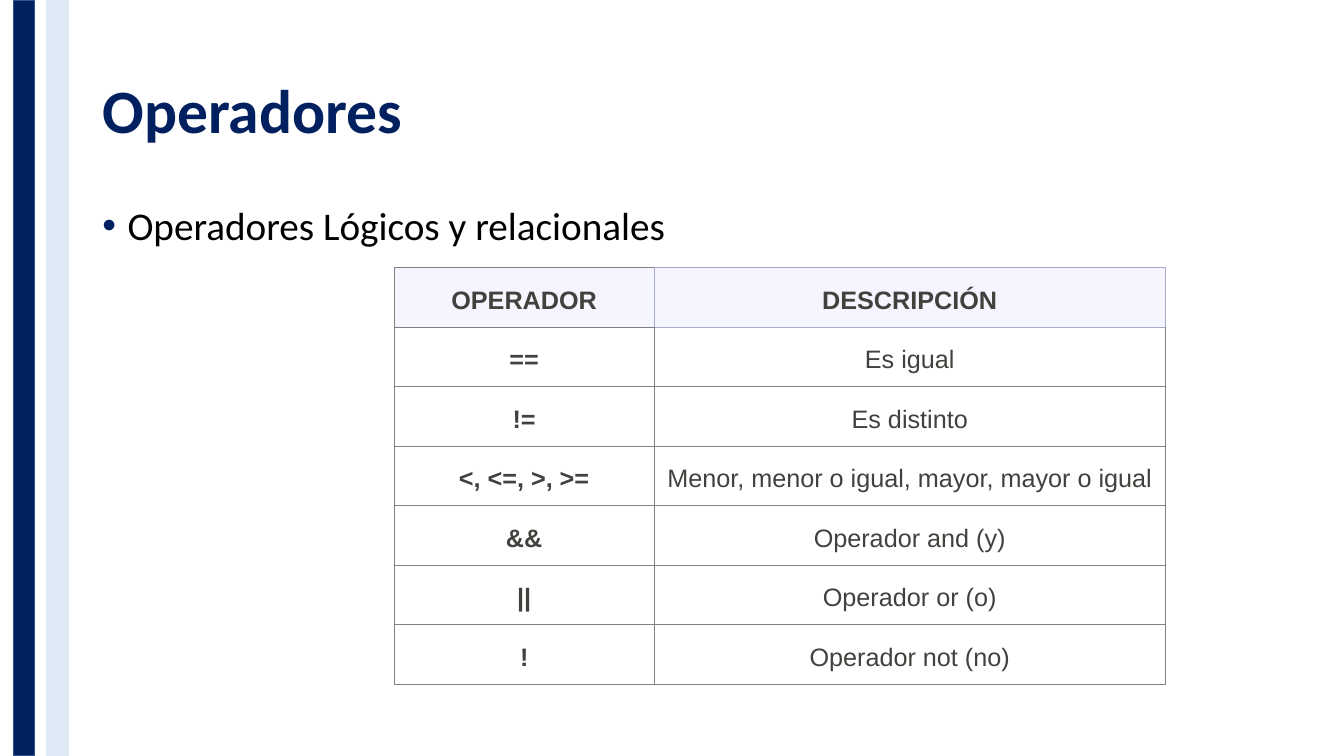
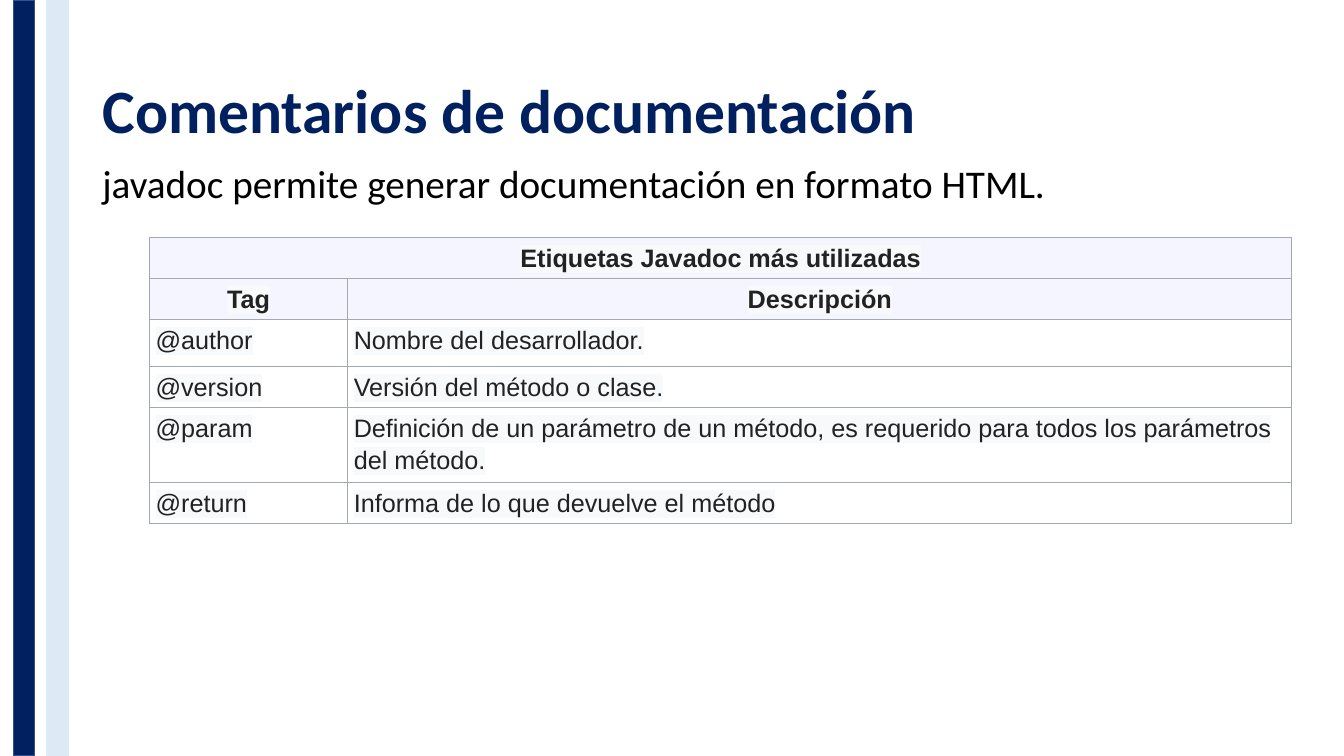
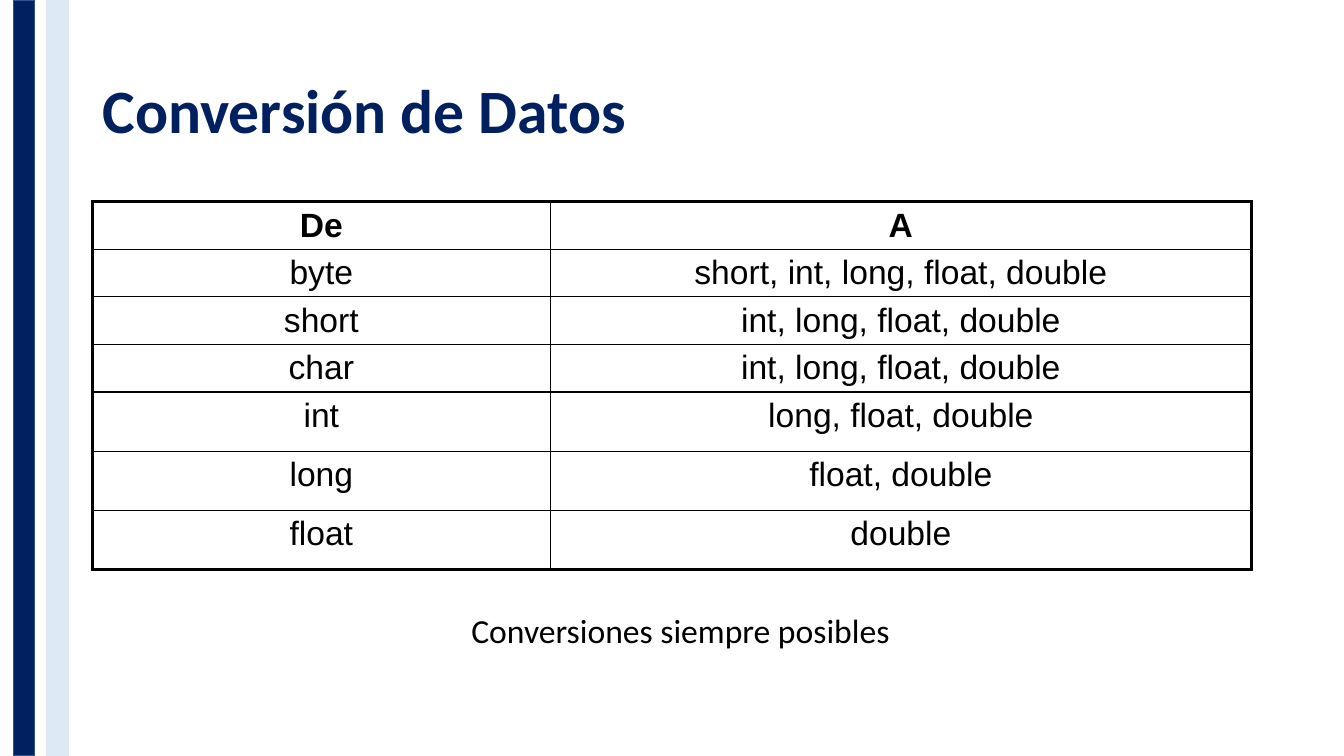
from dataclasses import dataclass

from lxml import etree
from pptx import Presentation
from pptx import util as u
from pptx.dml.color import RGBColor
from pptx.enum import shapes, text
from pptx.oxml import ns


@dataclass(frozen=True)
class Theme:
    navy: str = "002060"
    navy_edge: str = "31538F"
    sky: str = "DDEAF6"
    black: str = "000000"
    white: str = "FFFFFF"
    lavender: str = "F5F5FF"
    lavender_edge: str = "AAAACC"
    olive: str = "41423D"
    grey: str = "808080"
    ink: str = "222222"
    mist: str = "F8F9FA"
    mist_edge: str = "A2A9B1"
    heading: str = "Calibri"
    cells: str = "Arial"
    title_size: int = 44
    body_size: int = 28
    caption_size: int = 24
    small_cell: int = 18
    large_cell: int = 24


@dataclass(frozen=True)
class TableLook:
    size: int
    color: str
    spacing: float
    margins: tuple
    borders: object
    head_fill: str = ""
    cell_fill: str = ""
    highlight: str = ""
    head_rows: int = 1
    bold_first: bool = False
    centred: bool = True


THEME = Theme()
COLUMNS, ROWS = 160, 90
CENTER = text.PP_ALIGN.CENTER
LEFT = text.PP_ALIGN.LEFT


def add_xml(parent, tag, **attributes):
    return etree.SubElement(parent, ns.qn(tag), attributes)


class Deck:
    def __init__(self, theme):
        self.theme = theme
        self.presentation = Presentation()
        self.presentation.slide_width = u.Inches(13.33)
        self.presentation.slide_height = u.Inches(7.5)
        self.slide = None

    def x(self, columns):
        return round(self.presentation.slide_width * columns / COLUMNS)

    def y(self, rows):
        return round(self.presentation.slide_height * rows / ROWS)

    def box(self, left, top, width, height):
        return self.x(left), self.y(top), self.x(width), self.y(height)

    def start(self, title):
        layout = self.presentation.slide_layouts[5]
        self.slide = self.presentation.slides.add_slide(layout)
        self.band(1.6, self.theme.navy, self.theme.navy_edge)
        self.band(5.6, self.theme.sky, self.theme.sky)
        heading = self.slide.shapes.title
        heading.left, heading.top, heading.width, heading.height = self.box(11, 4.8, 138, 17.4)
        frame = heading.text_frame
        frame.auto_size = text.MSO_AUTO_SIZE.NONE
        frame.vertical_anchor = text.MSO_ANCHOR.MIDDLE
        self.add_words(frame, title, self.theme.title_size, self.theme.navy,
                       bold=True, spacing=0.9)

    def band(self, left, fill, edge):
        stripe = self.slide.shapes.add_shape(
            shapes.MSO_SHAPE.RECTANGLE, *self.box(left, 0, 2.5, ROWS))
        stripe.shadow.inherit = False
        stripe.fill.solid()
        stripe.fill.fore_color.rgb = RGBColor.from_string(fill)
        stripe.line.color.rgb = RGBColor.from_string(edge)
        stripe.line.width = u.Pt(1)

    def add_words(self, frame, words, size, color, font="", bold=False, align=LEFT, spacing=1.0):
        paragraph = frame.paragraphs[0]
        paragraph.alignment = align
        paragraph.line_spacing = spacing
        run = paragraph.add_run()
        run.text = words
        run.font.name = font or self.theme.heading
        run.font.size = u.Pt(size)
        run.font.bold = bold
        run.font.color.rgb = RGBColor.from_string(color)
        return run

    def paragraph(self, words, place, size, align=LEFT, spacing=1.0, bullet=False):
        frame = self.slide.shapes.add_textbox(*self.box(*place)).text_frame
        frame.word_wrap = True
        if bullet:
            properties = frame.paragraphs[0]._p.get_or_add_pPr()
            properties.set("marL", str(u.Inches(0.25)))
            properties.set("indent", str(-u.Inches(0.25)))
            add_xml(add_xml(properties, "a:buClr"), "a:srgbClr", val=self.theme.navy)
            add_xml(properties, "a:buFont", typeface=self.theme.cells)
            add_xml(properties, "a:buChar", char="•")
        self.add_words(frame, words, size, self.theme.black, align=align, spacing=spacing)

    def table(self, left, top, widths, heights, content, look):
        place = self.box(left, top, sum(widths), sum(heights))
        grid = self.slide.shapes.add_table(len(heights), len(widths), *place).table
        grid.first_row = grid.horz_banding = False
        for column, width in zip(grid.columns, widths):
            column.width = self.x(width)
        for row, height in zip(grid.rows, heights):
            row.height = self.y(height)
        for r, words in enumerate(content):
            for c in range(len(widths)):
                cell = grid.cell(r, c)
                self.style_cell(cell, r, c, look)
                if c < len(words):
                    self.fill_cell(cell, words[c], r, c, look)
            if len(words) < len(widths):
                grid.cell(r, 0).merge(grid.cell(r, len(widths) - 1))

    def style_cell(self, cell, r, c, look):
        cell.margin_left = cell.margin_right = u.Inches(look.margins[0])
        cell.margin_top = cell.margin_bottom = u.Inches(look.margins[1])
        fill = look.head_fill if r < look.head_rows else look.cell_fill
        if fill:
            cell.fill.solid()
            cell.fill.fore_color.rgb = RGBColor.from_string(fill)
        else:
            cell.fill.background()
        properties = cell._tc.get_or_add_tcPr()
        for place, (side, (color, width)) in enumerate(zip("LRTB", look.borders(r, c))):
            edge = add_xml(properties, f"a:ln{side}", w=str(u.Pt(width)))
            add_xml(add_xml(edge, "a:solidFill"), "a:srgbClr", val=color)
            properties.insert(place, edge)

    def fill_cell(self, cell, words, r, c, look):
        head = r < look.head_rows
        run = self.add_words(
            cell.text_frame, words, look.size, look.color, self.theme.cells,
            bold=head or (look.bold_first and c == 0),
            align=CENTER if head or look.centred else LEFT, spacing=look.spacing)
        if look.highlight:
            properties = run._r.get_or_add_rPr()
            marker = add_xml(properties, "a:highlight")
            add_xml(marker, "a:srgbClr", val=look.highlight)
            properties.find(ns.qn("a:solidFill")).addnext(marker)


def operator_borders(r, c):
    grey, lavender = (THEME.grey, 0.75), (THEME.lavender_edge, 0.75)
    if (r, c) == (0, 1):
        return [lavender] * 4
    return grey, grey, lavender if (r, c) == (1, 1) else grey, grey


def tag_borders(r, c):
    return [(THEME.mist_edge, 0.75)] * 4


def conversion_borders(r, c):
    outer = (c == 0, c == 1, r == 0, r == 6)
    return [(THEME.black, 2.25 if edge else 1) for edge in outer]


def operators(deck):
    deck.start("Operadores")
    deck.paragraph("Operadores Lógicos y relacionales", (11, 24, 138, 57.1),
                   THEME.body_size, spacing=0.9, bullet=True)
    look = TableLook(THEME.small_cell, THEME.olive, 1.3, (0.1, 0.1), operator_borders,
                     head_fill=THEME.lavender, cell_fill=THEME.white, bold_first=True)
    deck.table(46.9, 31.9, (31, 60.8), [6.6] * 7, [
        ("OPERADOR", "DESCRIPCIÓN"),
        ("==", "Es igual"),
        ("!=", "Es distinto"),
        ("<, <=, >, >=", "Menor, menor o igual, mayor, mayor o igual"),
        ("&&", "Operador and (y)"),
        ("||", "Operador or (o)"),
        ("!", "Operador not (no)"),
    ], look)


def documentation(deck):
    deck.start("Comentarios de documentación")
    deck.paragraph("javadoc permite generar documentación en formato HTML.",
                   (11, 19, 138, 57.1), THEME.body_size, spacing=0.9)
    look = TableLook(THEME.small_cell, THEME.ink, 1.15, (0.06, 0.03), tag_borders,
                     head_fill=THEME.lavender, highlight=THEME.mist, head_rows=2,
                     centred=False)
    deck.table(17.8, 28.3, (23.6, 112.4), (4.5, 4.5, 5.6, 4.5, 8.4, 4.5), [
        ("Etiquetas Javadoc más utilizadas",),
        ("Tag", "Descripción"),
        ("@author", "Nombre del desarrollador."),
        ("@version", "Versión del método o clase."),
        ("@param", "Definición de un parámetro de un método, es requerido "
                   "para todos los parámetros del método."),
        ("@return", "Informa de lo que devuelve el método"),
    ], look)


def conversions(deck):
    deck.start("Conversión de Datos")
    look = TableLook(THEME.large_cell, THEME.black, 1.0, (0.14, 0.05), conversion_borders)
    deck.table(11, 24, (54.5, 83.5), [5.65] * 4 + [7.05] * 3, [
        ("De", "A"),
        ("byte", "short, int, long, float, double"),
        ("short", "int, long, float, double"),
        ("char", "int, long, float, double"),
        ("int", "long, float, double"),
        ("long", "float, double"),
        ("float", "double"),
    ], look)
    deck.paragraph("Conversiones siempre posibles", (28, 72, 106, 6),
                   THEME.caption_size, align=CENTER)


def main():
    deck = Deck(THEME)
    for build in (operators, documentation, conversions):
        build(deck)
    deck.presentation.save("out.pptx")


if __name__ == "__main__":
    main()
